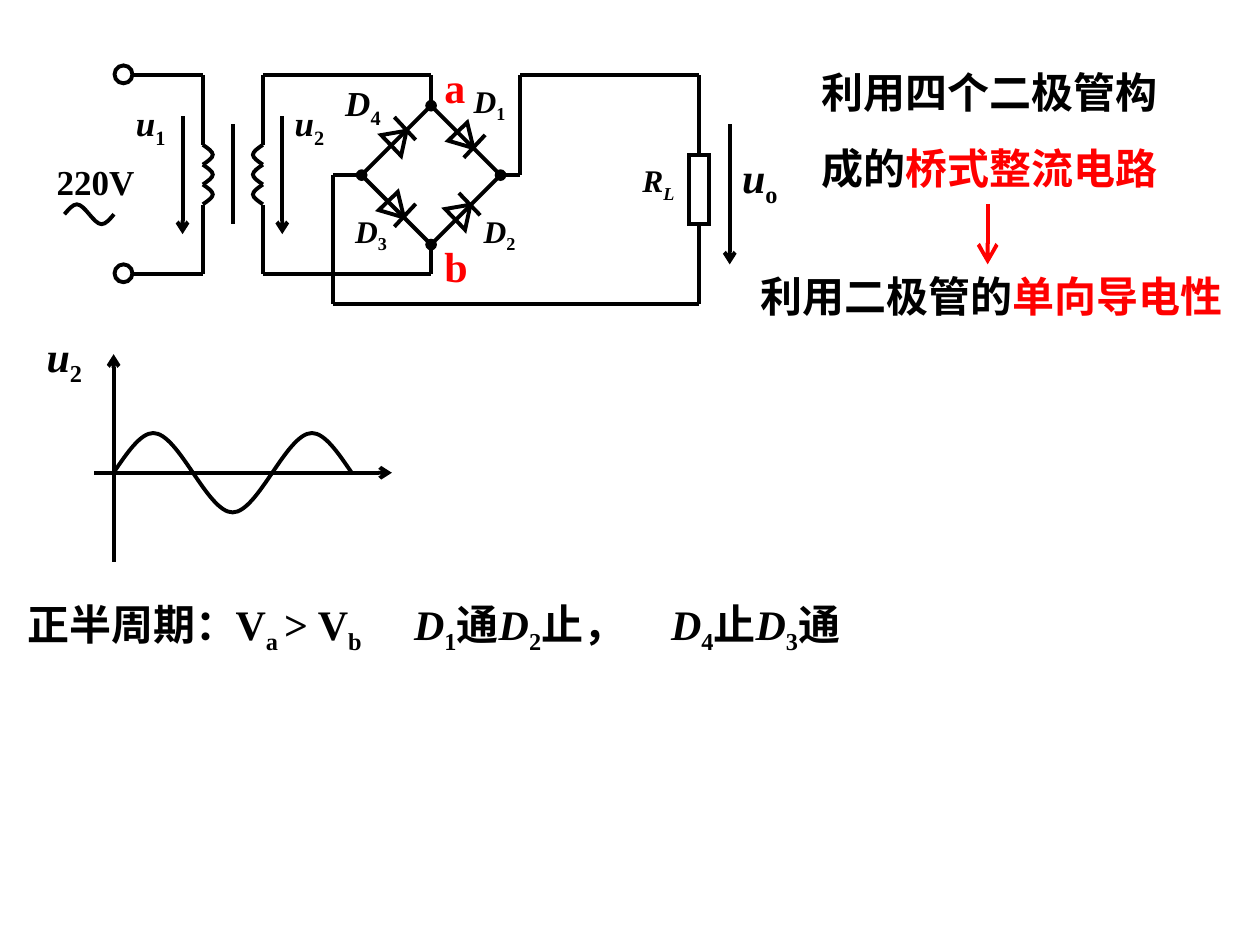
"""Build a slide on the bridge rectifier: circuit, input waveform and conduction notes."""
from lxml import etree
from pptx import Presentation
from pptx.dml.color import RGBColor
from pptx.enum.shapes import MSO_CONNECTOR, MSO_SHAPE
from pptx.oxml.ns import qn
from pptx.util import Cm, Pt

BLACK = RGBColor(0, 0, 0)
RED = RGBColor(255, 0, 0)
WHITE = RGBColor(255, 255, 255)
STRAIGHT = MSO_CONNECTOR.STRAIGHT
OVAL, RECT = MSO_SHAPE.OVAL, MSO_SHAPE.RECTANGLE
TRIANGLE, DIAMOND = MSO_SHAPE.ISOSCELES_TRIANGLE, MSO_SHAPE.DIAMOND

prs = Presentation()
prs.slide_width, prs.slide_height = Cm(25.4), Cm(19.05)
s = prs.slides.add_slide(prs.slide_layouts[6])


def draw_line(x1, y1, x2, y2, color=BLACK, **ends):
    sp = s.shapes.add_connector(STRAIGHT, Cm(x1), Cm(y1), Cm(x2), Cm(y2))
    sp.line.color.rgb = color
    sp.line.width = Pt(2.25)
    etree.SubElement(sp._element.spPr, qn("a:effectLst"))
    for end, (kind, size) in ends.items():
        etree.SubElement(sp.line._get_or_add_ln(), qn(f"a:{end}"), type=kind, w=size, len=size)


def outline(sp, filled):
    sp.shadow.inherit = False
    sp.line.color.rgb = BLACK
    sp.line.width = Pt(2.25)
    etree.SubElement(sp.line._get_or_add_ln(), qn("a:miter"), lim="800000")
    if filled:
        sp.fill.solid()
        sp.fill.fore_color.rgb = WHITE
    else:
        sp.fill.background()


DOT, MEDIUM, LARGE = ("oval", "med"), ("arrow", "med"), ("arrow", "lg")
TOP, BOTTOM, MID, RETURN = 1.52, 5.53, 3.53, 6.12
PRIMARY, SECONDARY = 4.09, 5.3
LEFT, CENTER, RIGHT, LOAD = 6.71, 8.69, 10.49, 14.1

for x, far in ((PRIMARY, 2.69), (SECONDARY, CENTER)):
    draw_line(x, TOP, x, 2.92)
    draw_line(x, 4.14, x, BOTTOM)
    for y in (TOP, BOTTOM):
        draw_line(x, y, far, y)

for wire in (
    (4.69, 2.51, 4.69, 4.52),
    (LEFT, MID, LEFT, RETURN),
    (LEFT, RETURN, LOAD, RETURN),
    (RIGHT, MID, RIGHT, TOP),
    (RIGHT, TOP, LOAD, TOP),
    (LOAD, TOP, LOAD, RETURN),
):
    draw_line(*wire)

for node in (
    (CENTER, 2.13, CENTER, TOP),
    (CENTER, 4.93, CENTER, BOTTOM),
    (10.09, MID, RIGHT, MID),
    (7.29, MID, LEFT, MID),
):
    draw_line(*node, headEnd=DOT)

for kind, x, y, w, h, angle in (
    (OVAL, 2.31, 1.32, 0.36, 0.36, 0),
    (OVAL, 2.31, 5.33, 0.36, 0.36, 0),
    (RECT, 13.89, 3.12, 0.41, 1.4, 0),
    (TRIANGLE, 7.72, 3.99, 0.53, 0.46, 136.3),
    (TRIANGLE, 9.12, 2.59, 0.53, 0.46, 136.3),
    (TRIANGLE, 9.04, 4.06, 0.58, 0.43, 46.3),
    (TRIANGLE, 7.75, 2.57, 0.58, 0.43, 46.3),
    (DIAMOND, 7.29, 2.13, 2.8, 2.8, 0),
):
    sp = s.shapes.add_shape(kind, Cm(x), Cm(y), Cm(w), Cm(h))
    sp.rotation = angle
    outline(sp, kind != DIAMOND)

for bar in (
    (9.25, 3.89, 9.68, 4.34),
    (7.95, 2.36, 8.38, 2.82),
    (9.78, 2.72, 9.35, 3.18),
    (8.38, 4.11, 7.95, 4.57),
):
    draw_line(*bar)

for x, y1, y2 in ((3.68, 2.34, 4.72), (5.69, 2.34, 4.72), (14.71, 2.51, 5.33)):
    draw_line(x, y1, x, y2, tailEnd=MEDIUM)
draw_line(1.9, 9.53, 7.9, 9.53, tailEnd=MEDIUM)
draw_line(2.29, 7.14, 2.29, 11.33, headEnd=MEDIUM)
draw_line(19.91, 4.11, 19.91, 5.33, RED, tailEnd=LARGE)

HALF_WAVE = [(0, 0), (0.17, 0.5), (0.34, 1), (0.5, 1), (0.66, 1), (0.83, 0.5), (1, 0)]
arcs = [(PRIMARY, 2.92 + 0.4 * i, 0.4, 0.2, True) for i in range(3)]
arcs += [(SECONDARY, 2.92 + 0.4 * i, 0.4, -0.2, True) for i in range(3)]
arcs += [(1.3 + 0.5 * i, 4.32, 0.5, -0.2 * (-1) ** i, False) for i in range(2)]
arcs += [(2.29 + 1.6 * i, 9.53, 1.6, -0.8 * (-1) ** i, False) for i in range(3)]
for x, y, span, height, vertical in arcs:
    pts = []
    for u, v in HALF_WAVE:
        along, across = span * u, height * v
        dx, dy = (across, along) if vertical else (along, across)
        pts.append((Cm(x + dx), Cm(y + dy)))
    fb = s.shapes.build_freeform(*pts[0])
    fb.add_line_segments(pts[1:], close=False)
    sp = fb.convert_to_shape()
    outline(sp, False)
    segments = list(sp._element.iter(qn("a:lnTo")))
    for i in range(0, len(segments), 3):
        curve = etree.SubElement(segments[i].getparent(), qn("a:cubicBezTo"))
        for segment in segments[i:i + 3]:
            curve.append(segment[0])
            segment.getparent().remove(segment)

BASE = {"name": "Times New Roman", "bold": True}
PLAIN, ITALIC, SUB, SUB_ITALIC, ACCENT = "plain", "italic", "sub", "sub italic", "accent"
V_SIGNS = [("V", PLAIN), ("a ", SUB), ("> V", PLAIN), ("b", SUB)]
texts = [
    (14.71, 2.92, 1.8, 1.42, 24, [("u", ITALIC), ("o", SUB)]),
    (12.7, 3.12, 2, 1.12, 18, [("R", ITALIC), ("L", SUB_ITALIC)]),
    (2.49, 1.93, 1.8, 1.22, 20, [("u", ITALIC), ("1", SUB)]),
    (5.69, 1.93, 1.8, 1.22, 20, [("u", ITALIC), ("2", SUB)]),
    (9.3, 1.52, 1.8, 1.12, 18, [("D", ITALIC), ("1", SUB)]),
    (9.5, 4.14, 1.8, 1.12, 18, [("D", ITALIC), ("2", SUB)]),
    (6.91, 4.14, 1.8, 1.12, 18, [("D", ITALIC), ("3", SUB)]),
    (6.71, 1.52, 1.8, 1.22, 20, [("D", ITALIC), ("4", SUB)]),
    (0.89, 3.12, 3.2, 1.12, 20, [("220V", PLAIN)]),
    (8.71, 1.12, 1.8, 1.27, 24, [("a", ACCENT)]),
    (8.71, 4.72, 1.8, 1.27, 24, [("b", ACCENT)]),
    (0.69, 6.53, 3.81, 1.42, 24, [("u", ITALIC), ("2", SUB)]),
    (0.3, 11.94, 5.21, 1.27, 24, [("正半周期：", PLAIN)]),
    (4.5, 11.94, 5, 1.42, 24, V_SIGNS),
    (16.31, 0.71, 7.39, 3.3, 24, [("利用四个二极管构成的", PLAIN), ("桥式整流电路", ACCENT)]),
    (15.09, 5.33, 9.91, 1.27, 24, [("利用二极管的", PLAIN), ("单向导电性", ACCENT)]),
]
for x, first, state1, second, state2 in (
    (8.1, "1", "通", "2", "止，"),
    (13.28, "4", "止", "3", "通"),
):
    runs = [("D", ITALIC), (first, SUB), (state1, PLAIN)]
    runs += [("D", ITALIC), (second, SUB), (state2, PLAIN)]
    texts.append((x, 11.94, 7.8, 1.42, 24, runs))

for x, y, w, h, size, runs in texts:
    tf = s.shapes.add_textbox(Cm(x), Cm(y), Cm(w), Cm(h)).text_frame
    tf.word_wrap = True
    p = tf.paragraphs[0]
    if h > 3:
        p.line_spacing = 1.5
    for text, look in runs:
        r = p.add_run()
        r.text = text
        for key, value in {**BASE, "size": Pt(size), "italic": ITALIC in look}.items():
            setattr(r.font, key, value)
        r.font.color.rgb = RED if look == ACCENT else BLACK
        if SUB in look:
            r._r.get_or_add_rPr().set("baseline", "-25000")

prs.save("out.pptx")
